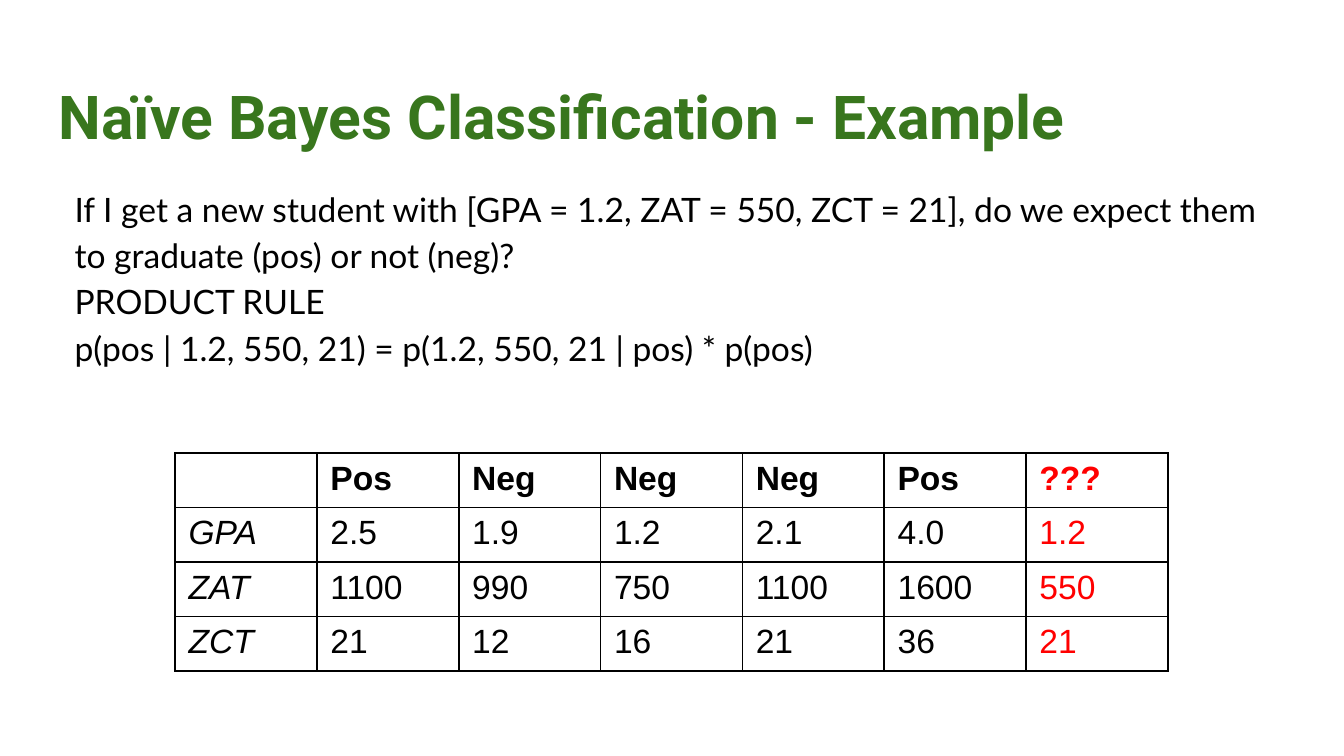
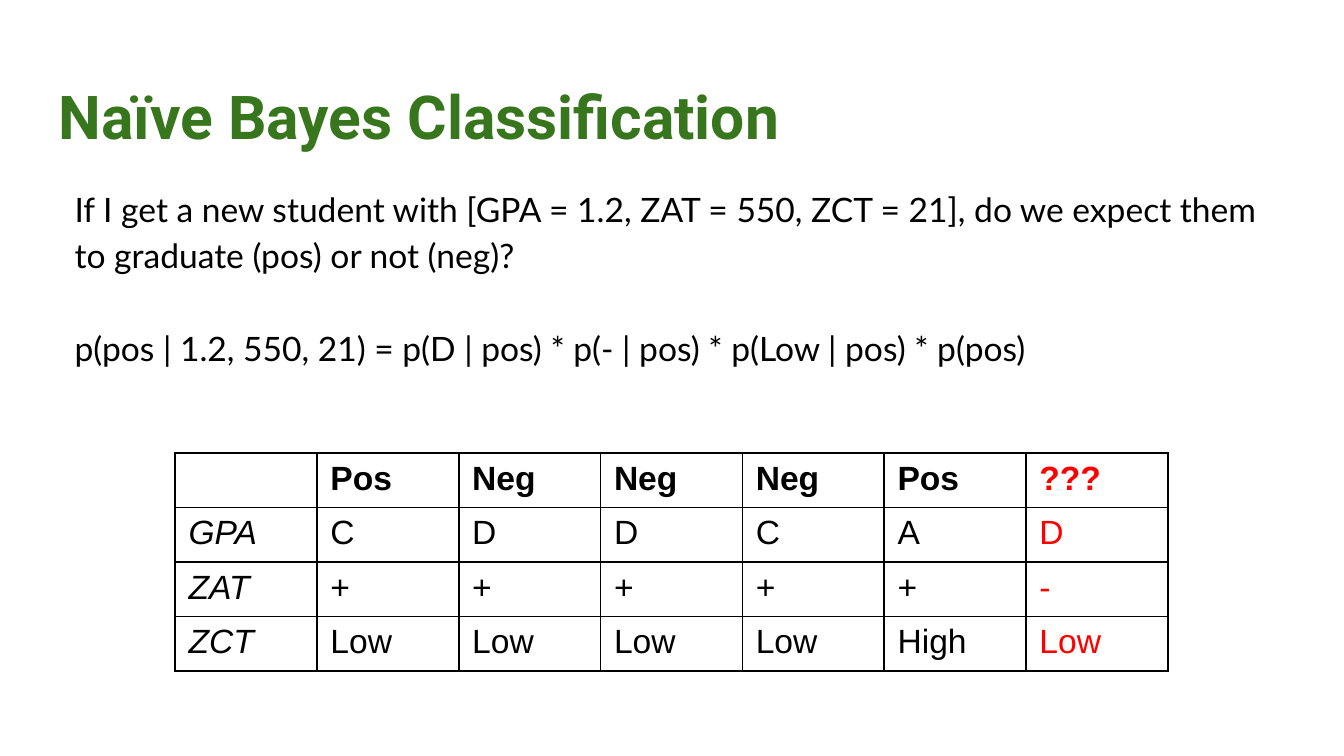
from lxml import etree
from pptx import Presentation
from pptx.dml.color import RGBColor
from pptx.enum import text
from pptx.oxml import ns
from pptx.util import Cm, Pt

GREEN = RGBColor(0x38, 0x76, 0x1D)
BLACK = RGBColor(0, 0, 0)
RED = RGBColor(0xFF, 0, 0)
WHITE = RGBColor(0xFF, 0xFF, 0xFF)

# Boxes in cm: left, top, width, height
HEAD = (0.86, 1.24, 23.67, 1.6)
BODY = (0.86, 3.2, 23.67, 9.5)
GRID = (3.31, 8.56, 18.76, 4.12)

ASK = ("If I get a new student with [GPA = 1.2, ZAT = 550, ZCT = 21], "
       "do we expect them to graduate (pos) or not (neg)?")
TOP = ["", "Pos", "Neg", "Neg", "Neg", "Pos", "???"]


def write(para, words, font="Arial", size=18, color=BLACK, bold=False,
          slant=False, lines=None, before=0, indent=0):
    """Put formatted words in a paragraph."""
    if indent:
        para._p.get_or_add_pPr().set("marL", str(Cm(indent)))
    if lines:
        para.line_spacing = lines
    if before:
        para.space_before = Pt(before)
    run = para.add_run()
    run.text = words
    run.font.name = font
    run.font.size = Pt(size)
    run.font.color.rgb = color
    run.font.bold = bold
    run.font.italic = slant


def frame(slide, box):
    """Add a wrapping text box with even insets."""
    area = slide.shapes.add_textbox(*map(Cm, box)).text_frame
    area.word_wrap = True
    area.vertical_anchor = text.MSO_ANCHOR.TOP
    area.margin_left = area.margin_right = Cm(0.25)
    area.margin_top = area.margin_bottom = Cm(0.25)
    return area


def title(slide, box, words):
    write(frame(slide, box).paragraphs[0], words, font="Roboto", size=32.4,
          color=GREEN, bold=True)


def body(slide, box, items):
    """Write (words, space before) pairs as paragraphs."""
    area = frame(slide, box)
    for n, (words, gap) in enumerate(items):
        para = area.add_paragraph() if n else area.paragraphs[0]
        write(para, words, font="Lato", lines=1.15, before=gap, indent=0.3)


def border(cell):
    """Draw a thin black line on all four sides, ahead of the fill."""
    props = cell._tc.get_or_add_tcPr()
    for n, side in enumerate(("lnL", "lnR", "lnT", "lnB")):
        line = etree.Element(ns.qn("a:" + side), w=str(Pt(1)))
        fill = etree.SubElement(line, ns.qn("a:solidFill"))
        etree.SubElement(fill, ns.qn("a:srgbClr"), val=str(BLACK))
        props.insert(n, line)


def grid(slide, box, rows):
    """Draw the student table: bold top row, slanted names, red last column."""
    count = len(TOP)
    table = slide.shapes.add_table(len(rows), count, *map(Cm, box)).table
    table.first_row = table.horz_banding = False
    for col in table.columns:
        col.width = Cm(box[2] / count)
    for row in table.rows:
        row.height = Cm(box[3] / len(rows))
    for r, row in enumerate(rows):
        for c, words in enumerate(row):
            cell = table.cell(r, c)
            cell.fill.solid()
            cell.fill.fore_color.rgb = WHITE
            border(cell)
            if words:
                write(cell.text_frame.paragraphs[0], words, bold=r == 0,
                      slant=c == 0, color=RED if c == count - 1 else BLACK)


def page(deck, head, items, rows):
    """Build one slide from its title, text and table rows."""
    slide = deck.slides.add_slide(deck.slide_layouts[6])
    title(slide, HEAD, head)
    body(slide, BODY, items)
    grid(slide, GRID, [TOP] + rows)


def main():
    deck = Presentation()
    deck.slide_width, deck.slide_height = Cm(25.4), Cm(14.29)

    # Scores as numbers
    page(deck, "Naïve Bayes Classification - Example",
         [(ASK, 0), ("PRODUCT RULE", 0),
          ("p(pos | 1.2, 550, 21) = p(1.2, 550, 21 | pos) * p(pos)", 0)],
         [["GPA", "2.5", "1.9", "1.2", "2.1", "4.0", "1.2"],
          ["ZAT", "1100", "990", "750", "1100", "1600", "550"],
          ["ZCT", "21", "12", "16", "21", "36", "21"]])

    # Scores as grades
    page(deck, "Naïve Bayes Classification",
         [(ASK, 0),
          ("p(pos | 1.2, 550, 21) = p(D | pos) * p(- | pos) * "
           "p(Low | pos) * p(pos)", 24.9)],
         [["GPA", "C", "D", "D", "C", "A", "D"],
          ["ZAT", "+", "+", "+", "+", "+", "-"],
          ["ZCT", "Low", "Low", "Low", "Low", "High", "Low"]])

    deck.save("out.pptx")


if __name__ == "__main__":
    main()
